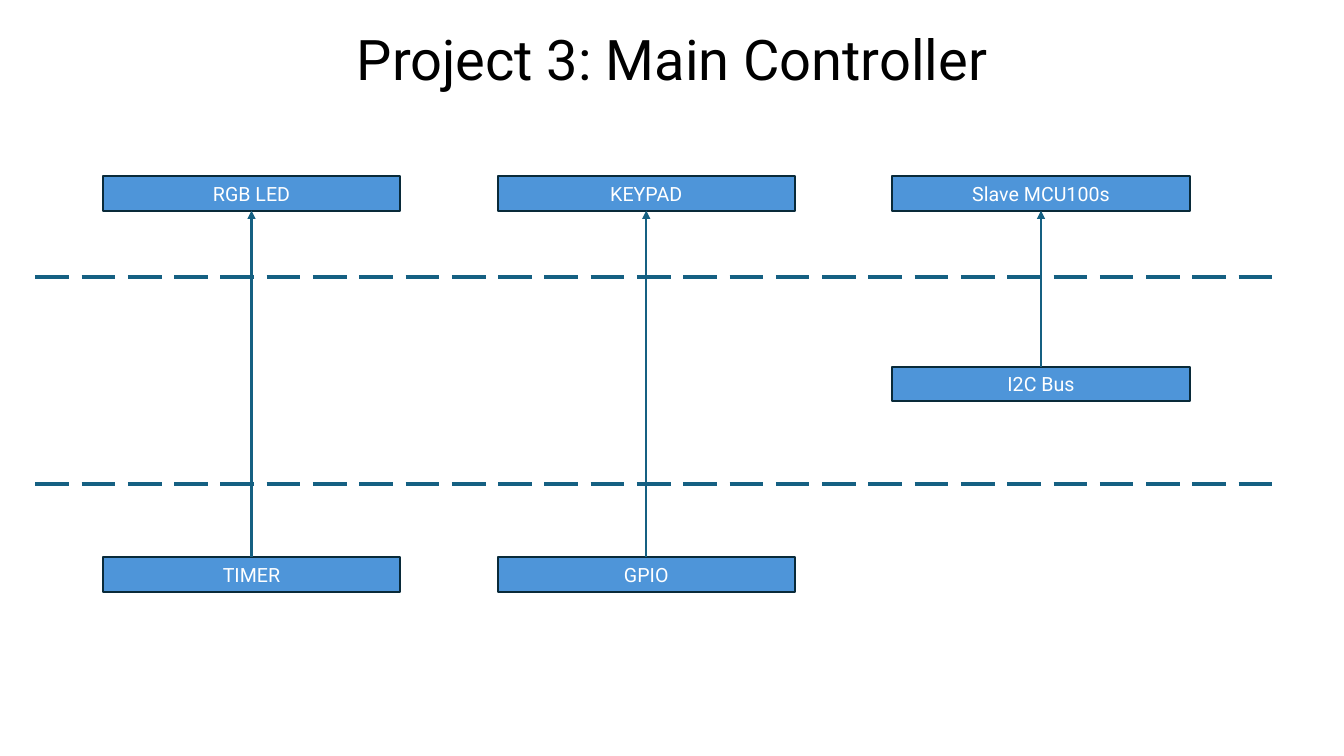
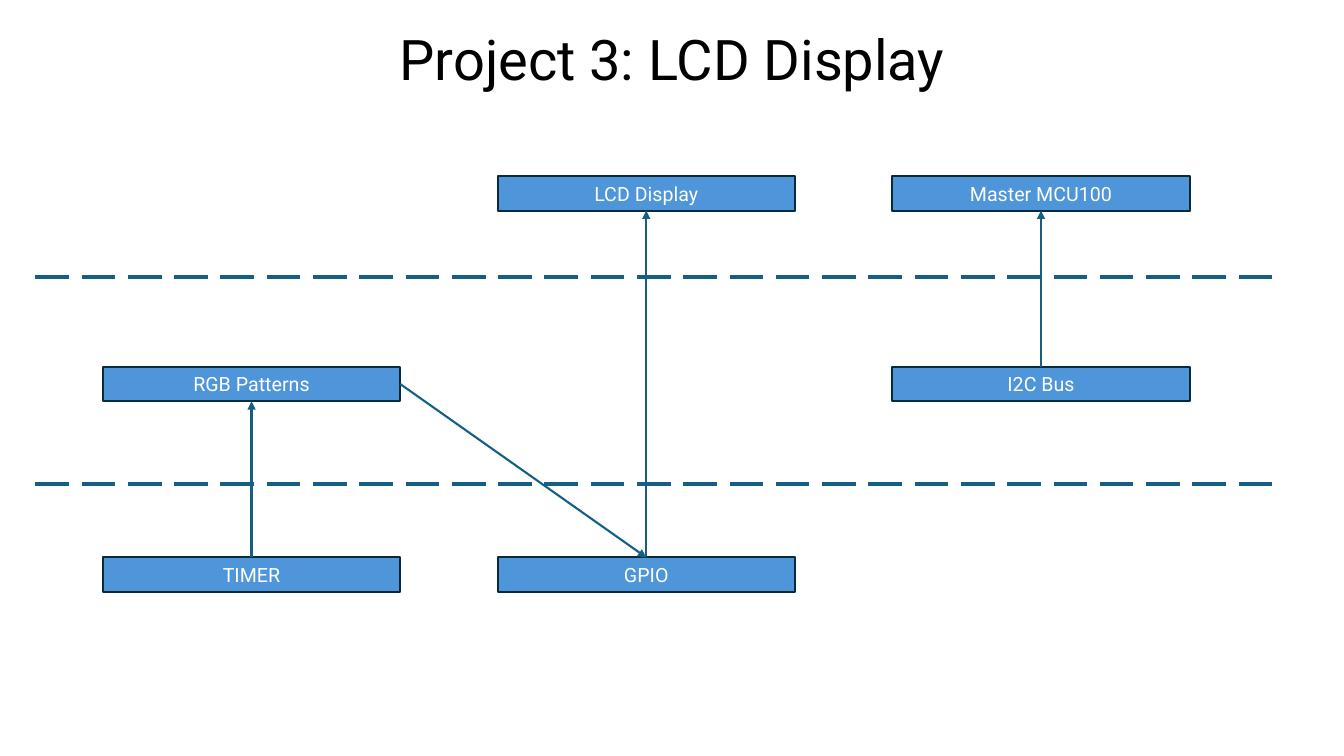
from dataclasses import dataclass

from lxml import etree
from pptx import Presentation
from pptx.dml.color import RGBColor
from pptx.enum.dml import MSO_LINE
from pptx.enum.shapes import MSO_CONNECTOR, MSO_SHAPE
from pptx.enum.text import MSO_ANCHOR, PP_ALIGN
from pptx.oxml.ns import qn
from pptx.util import Inches, Pt

STRAIGHT = MSO_CONNECTOR.STRAIGHT
RECTANGLE = MSO_SHAPE.RECTANGLE
LONG_DASH = MSO_LINE.LONG_DASH
CENTER = PP_ALIGN.CENTER
TOP_ANCHOR = MSO_ANCHOR.TOP
MIDDLE_ANCHOR = MSO_ANCHOR.MIDDLE
TOP, BOTTOM, RIGHT = 0, 2, 3


@dataclass(frozen=True)
class Theme:
    font: str = "Roboto"
    title_size: float = 40
    block_size: float = 14
    line_width: float = 1.5
    divider_width: float = 3
    background: str = "FFFFFF"
    title: str = "000000"
    block_text: str = "FFFFFF"
    block_fill: str = "4E95D9"
    block_line: str = "092A39"
    connector: str = "156082"


@dataclass(frozen=True)
class Box:
    left: float
    top: float
    width: float
    height: float

    def lengths(self):
        return [Inches(v) for v in (self.left, self.top, self.width, self.height)]


THEME = Theme()
PAGE = Box(0, 0, 13.33, 7.5)
TITLE = Box(0, 0.19, 13.33, 0.77)
DIAGRAM = Box(1.02, 1.75, 10.78, 4.12)
DIVIDERS = Box(0.35, 2.75, 12.36, 2.05)
BLOCK_WIDTH, BLOCK_HEIGHT = 2.95, 0.34
COLUMNS, ROWS = 3, 3

DIAGRAMS = [
    {
        "title": "Project 3: Main Controller",
        "blocks": {
            "RGB LED": (0, 0),
            "KEYPAD": (1, 0),
            "Slave MCU100s": (2, 0),
            "I2C Bus": (2, 1),
            "TIMER": (0, 2),
            "GPIO": (1, 2),
        },
        "arrows": [
            ("TIMER", TOP, "RGB LED", BOTTOM),
            ("GPIO", TOP, "KEYPAD", BOTTOM),
            ("I2C Bus", TOP, "Slave MCU100s", BOTTOM),
        ],
    },
    {
        "title": "Project 3: LCD Display",
        "blocks": {
            "LCD Display": (1, 0),
            "Master MCU100": (2, 0),
            "RGB Patterns": (0, 1),
            "I2C Bus": (2, 1),
            "TIMER": (0, 2),
            "GPIO": (1, 2),
        },
        "arrows": [
            ("TIMER", TOP, "RGB Patterns", BOTTOM),
            ("GPIO", TOP, "LCD Display", BOTTOM),
            ("I2C Bus", TOP, "Master MCU100", BOTTOM),
            ("RGB Patterns", RIGHT, "GPIO", TOP),
        ],
    },
]


def color(value):
    return RGBColor.from_string(value)


def write_text(shape, text, *, size, fill, anchor):
    frame = shape.text_frame
    frame.word_wrap = True
    frame.vertical_anchor = anchor
    para = frame.paragraphs[0]
    para.alignment = CENTER
    span = para.add_run()
    span.text = text
    span.font.name = THEME.font
    span.font.size = Pt(size)
    span.font.color.rgb = color(fill)


def add_title(page, box, text):
    shape = page.shapes.add_textbox(*box.lengths())
    write_text(shape, text, size=THEME.title_size, fill=THEME.title, anchor=TOP_ANCHOR)


def add_block(page, box, text):
    block = page.shapes.add_shape(RECTANGLE, *box.lengths())
    block.shadow.inherit = False
    block.fill.solid()
    block.fill.fore_color.rgb = color(THEME.block_fill)
    block.line.color.rgb = color(THEME.block_line)
    block.line.width = Pt(THEME.line_width)
    write_text(block, text, size=THEME.block_size, fill=THEME.block_text,
               anchor=MIDDLE_ANCHOR)
    return block


def add_line(page, start, end, width):
    connector = page.shapes.add_connector(
        STRAIGHT, *(Inches(v) for v in (*start, *end)))
    connector.line.color.rgb = color(THEME.connector)
    connector.line.width = Pt(width)
    etree.SubElement(connector._element.spPr, qn("a:effectLst"))
    return connector


def add_arrow(page, source, source_site, target, target_site):
    arrow = add_line(page, (0, 0), (0, 0), THEME.line_width)
    arrow.begin_connect(source, source_site)
    arrow.end_connect(target, target_site)
    outline = arrow.line._get_or_add_ln()
    etree.SubElement(outline, qn("a:tailEnd"), type="triangle")


def add_dividers(page, box):
    right = box.left + box.width
    for top in (box.top, box.top + box.height):
        divider = add_line(page, (box.left, top), (right, top), THEME.divider_width)
        divider.line.dash_style = LONG_DASH


def add_diagram(page, box, places, arrows):
    column_step = (box.width - BLOCK_WIDTH) / (COLUMNS - 1)
    row_step = (box.height - BLOCK_HEIGHT) / (ROWS - 1)
    blocks = {}
    for text, (column, row) in places.items():
        place = Box(box.left + column * column_step, box.top + row * row_step,
                    BLOCK_WIDTH, BLOCK_HEIGHT)
        blocks[text] = add_block(page, place, text)
    for source, source_site, target, target_site in arrows:
        add_arrow(page, blocks[source], source_site, blocks[target], target_site)


def add_page(deck, content):
    page = deck.slides.add_slide(deck.slide_layouts[6])
    page.background.fill.solid()
    page.background.fill.fore_color.rgb = color(THEME.background)
    add_title(page, TITLE, content["title"])
    add_dividers(page, DIVIDERS)
    add_diagram(page, DIAGRAM, content["blocks"], content["arrows"])


def main():
    deck = Presentation()
    deck.slide_width = Inches(PAGE.width)
    deck.slide_height = Inches(PAGE.height)
    for content in DIAGRAMS:
        add_page(deck, content)
    deck.save("out.pptx")


if __name__ == "__main__":
    main()
